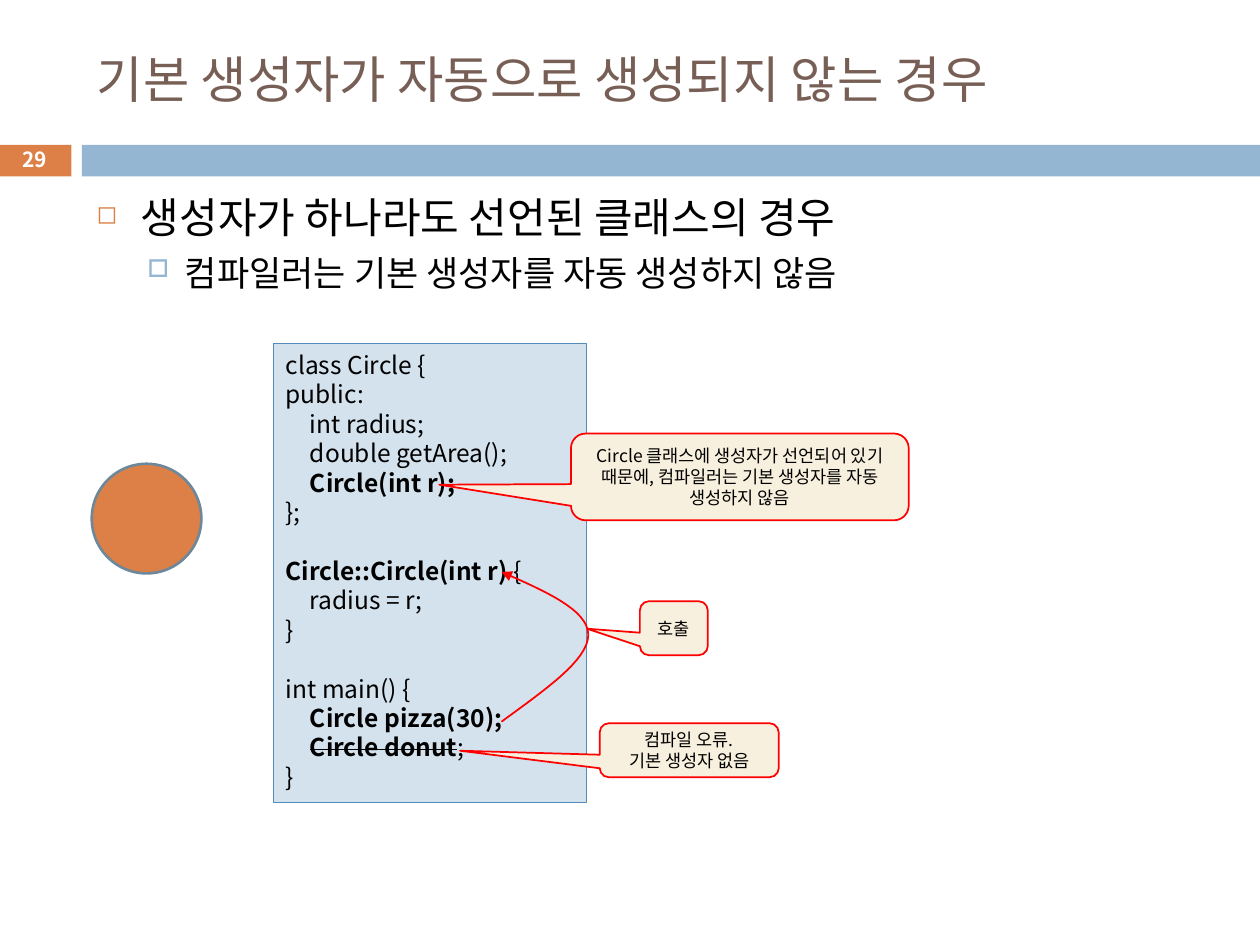
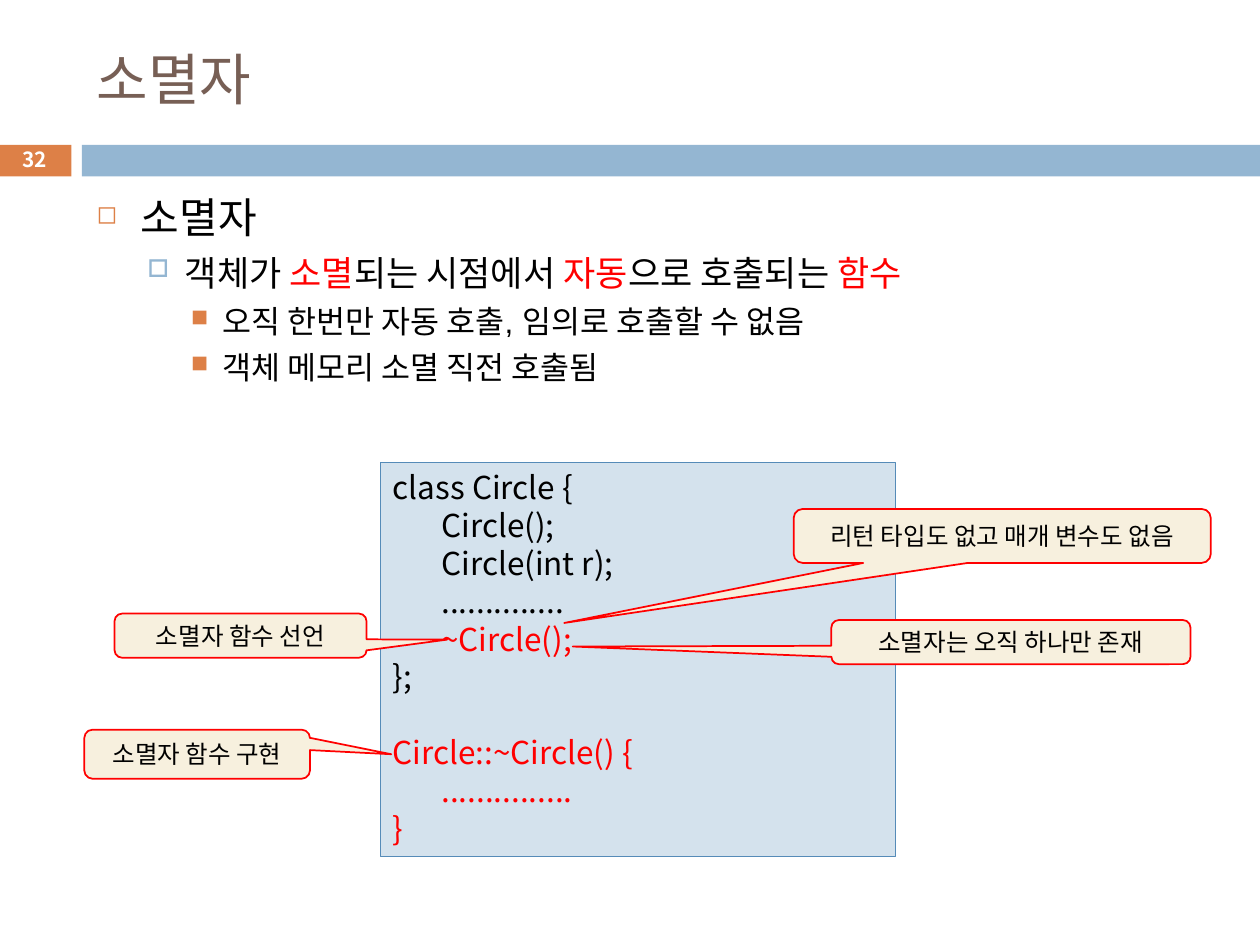
import lxml.etree
import pptx
import pptx.dml.color
import pptx.enum.shapes
import pptx.enum.text
import pptx.oxml.ns
import pptx.util

Cm = pptx.util.Cm
Pt = pptx.util.Pt
SHAPES = pptx.enum.shapes.MSO_SHAPE
ALIGN = pptx.enum.text.PP_ALIGN
ANCHOR = pptx.enum.text.MSO_ANCHOR

ORANGE, BLUE, BROWN = "DD8047", "94B6D2", "775F55"
RED, BLACK, WHITE = "FF0000", "000000", "FFFFFF"
CREAM, CODE_FILL, CODE_EDGE, RING = "F7F0DE", "D4E2ED", "558BB8", "6D879B"
FONT = "Noto Sans CJK KR"
LINE_PITCH = 1.2

LEVELS = [
    dict(size=24, margin=0.89, hang=0.89, before=7, bullet="◻", color=ORANGE, percent=60),
    dict(size=20, margin=1.78, hang=0.76, before=5.5, bullet="□", color=BLUE, percent=70),
    dict(size=18, margin=2.54, hang=0.64, before=5, bullet="■", color=ORANGE, percent=75),
]
HOT = dict(color=RED)
BOLD = dict(bold=True)


def rgb(value):
    return pptx.dml.color.RGBColor.from_string(value)


def add_xml(parent, tag, **attributes):
    return lxml.etree.SubElement(parent, pptx.oxml.ns.qn(tag), attributes)


def apply(target, values):
    for name, value in values.items():
        setattr(target, name, value)


class Lecture:
    def __init__(self):
        self.deck = pptx.Presentation()
        apply(self.deck, dict(slide_width=Cm(25.4), slide_height=Cm(19.05)))
        self.slide = None

    def new_slide(self, heading, number, size):
        self.slide = self.deck.slides.add_slide(self.deck.slide_layouts[5])
        self.shape(SHAPES.RECTANGLE, (-0.03, 2.92, 1.47, 0.64), ORANGE)
        self.shape(SHAPES.RECTANGLE, (1.65, 2.92, 23.75, 0.64), BLUE)
        title = self.slide.shapes.title
        apply(title, dict(left=Cm(1.7), top=Cm(0.64), width=Cm(22.66), height=Cm(1.88)))
        self.frame(title, ANCHOR.MIDDLE)
        self.paragraph(title, [(heading, dict(color=BROWN))], size)
        label = self.textbox((-0.03, 2.87, 1.47, 0.69), ANCHOR.MIDDLE)
        self.paragraph(label, [(number, dict(color=WHITE, bold=True))], 11.9, ALIGN.CENTER)

    def frame(self, shape, anchor):
        apply(shape.text_frame, dict(
            word_wrap=True, vertical_anchor=anchor,
            auto_size=pptx.enum.text.MSO_AUTO_SIZE.NONE))

    def textbox(self, box, anchor):
        area = self.slide.shapes.add_textbox(*map(Cm, box))
        self.frame(area, anchor)
        return area

    def shape(self, kind, box, fill, edge=None, weight=1):
        figure = self.slide.shapes.add_shape(kind, *map(Cm, box))
        figure.shadow.inherit = False
        figure.fill.solid()
        figure.fill.fore_color.rgb = rgb(fill)
        self.outline(figure, edge, weight)
        return figure

    def outline(self, figure, edge, weight):
        if edge:
            figure.line.color.rgb = rgb(edge)
            figure.line.width = Pt(weight)
        else:
            figure.line.fill.background()

    def paragraph(self, shape, runs, size, align=ALIGN.LEFT, before=0, latin=FONT):
        text_frame = shape.text_frame
        first = text_frame.paragraphs[0]
        fresh = not first.runs
        line = first if fresh else text_frame.add_paragraph()
        apply(line, dict(alignment=align, line_spacing=Pt(size * LINE_PITCH),
                         space_before=Pt(0 if fresh else before)))
        for text, changes in runs:
            self.run(line, text, size, latin, **changes)
        return line

    def run(self, line, text, size, latin, color=BLACK, bold=False, strike=False):
        run = line.add_run()
        run.text = text
        apply(run.font, dict(size=Pt(size), name=latin, bold=bold))
        run.font.color.rgb = rgb(color)
        properties = run._r.get_or_add_rPr()
        add_xml(properties, "a:ea", typeface=FONT)
        if strike:
            properties.set("strike", "sngStrike")

    def outline_text(self, height, points, latin=FONT):
        area = self.textbox((1.7, 3.73, 22.66, height), ANCHOR.TOP)
        for depth, runs in points:
            level = LEVELS[depth]
            line = self.paragraph(area, runs, level["size"], before=level["before"], latin=latin)
            line.level = depth
            properties = line._p.get_or_add_pPr()
            properties.set("marL", str(Cm(level["margin"])))
            properties.set("indent", str(-Cm(level["hang"])))
            color = add_xml(properties, "a:buClr")
            add_xml(color, "a:srgbClr", val=level["color"])
            add_xml(properties, "a:buSzPct", val=str(level["percent"] * 1000))
            add_xml(properties, "a:buChar", char=level["bullet"])

    def code(self, box, size, lines):
        listing = self.shape(SHAPES.RECTANGLE, box, CODE_FILL, CODE_EDGE, 0.75)
        self.frame(listing, ANCHOR.TOP)
        gap = 0
        for runs in lines:
            if not runs:
                gap = size * LINE_PITCH
                continue
            line = self.paragraph(listing, runs, size, before=gap)
            tabs = add_xml(line._p.get_or_add_pPr(), "a:tabLst")
            for stop in (1, 2):
                add_xml(tabs, "a:tab", pos=str(Cm(0.49 * stop)), algn="l")
            gap = 0

    def callout(self, box, tip, size, *lines):
        bubble = self.shape(SHAPES.ROUNDED_RECTANGULAR_CALLOUT, box, CREAM, RED)
        for index, value in enumerate((*tip, 0.17)):
            bubble.adjustments[index] = value
        self.frame(bubble, ANCHOR.MIDDLE)
        for text in lines:
            self.paragraph(bubble, [(text, {})], size, ALIGN.CENTER)

    def curved_arrow(self, start, *curves, steps=16):
        points = [start]
        for control_a, control_b, end in curves:
            origin = points[-1]
            for step in range(1, steps + 1):
                t = step / steps
                weights = ((1 - t) ** 3, 3 * t * (1 - t) ** 2, 3 * t * t * (1 - t), t ** 3)
                corners = (origin, control_a, control_b, end)
                points.append(tuple(
                    sum(w * corner[axis] for w, corner in zip(weights, corners))
                    for axis in (0, 1)))
        places = [(Cm(x), Cm(y)) for x, y in points]
        builder = self.slide.shapes.build_freeform(*places[0])
        builder.add_line_segments(places[1:], close=False)
        arrow = builder.convert_to_shape()
        arrow.shadow.inherit = False
        arrow.fill.background()
        self.outline(arrow, RED, 1)
        add_xml(arrow.line._get_or_add_ln(), "a:tailEnd", type="triangle")


def plain(text):
    return [(text, {})] if text else []


def missing_default_constructor(lecture):
    lecture.new_slide("기본 생성자가 자동으로 생성되지 않는 경우", "29", 28.8)
    lecture.outline_text(14.2, [
        (0, plain("생성자가 하나라도 선언된 클래스의 경우")),
        (1, plain("컴파일러는 기본 생성자를 자동 생성하지 않음")),
    ])
    lecture.code((5.51, 6.93, 6.32, 9.25), 14, [
        plain("class Circle {"),
        plain("public:"),
        plain("\tint radius;"),
        plain("\tdouble getArea();"),
        [("\tCircle(int r);", BOLD)],
        plain("};"),
        plain(""),
        [("Circle::Circle(int r) ", BOLD), ("{", {})],
        plain("\tradius = r;"),
        plain("}"),
        plain(""),
        plain("int main() {"),
        [("\tCircle pizza(30);", BOLD)],
        [("\t", {}), ("Circle donut", dict(bold=True, strike=True)), (";", {})],
        plain("}"),
    ])
    lecture.curved_arrow(
        (10.11, 14.55),
        ((10.97, 13.92), (11.86, 13.31), (11.86, 12.8)),
        ((11.86, 12.29), (10.97, 11.91), (10.11, 11.53)))
    lecture.callout((12.09, 14.58, 3.61, 1.09), (-1.28, 0.01), 10,
                    "컴파일 오류.", "기본 생성자 없음")
    lecture.callout((11.51, 8.74, 6.81, 1.75), (-0.89, 0.09), 10,
                    "Circle 클래스에 생성자가 선언되어 있기 때문에, "
                    "컴파일러는 기본 생성자를 자동 생성하지 않음")
    lecture.callout((12.9, 12.12, 1.37, 1.09), (-1.28, 0.01), 10, "호출")
    lecture.shape(SHAPES.OVAL, (1.85, 9.35, 2.21, 2.21), ORANGE, RING, 1.5)


def destructor(lecture):
    lecture.new_slide("소멸자", "32", 32)
    lecture.outline_text(6.2, [
        (0, plain("소멸자")),
        (1, [("객체가 ", {}), ("소멸", HOT), ("되는 시점에서 ", {}),
             ("자동", HOT), ("으로 호출되는 ", {}), ("함수", HOT)]),
        (2, plain("오직 한번만 자동 호출, 임의로 호출할 수 없음")),
        (2, plain("객체 메모리 소멸 직전 호출됨")),
    ], latin="Arial")
    lecture.code((7.67, 9.32, 10.39, 7.95), 18, [
        plain("class Circle {"),
        plain("\t\tCircle();"),
        plain("\t\tCircle(int r);"),
        plain("\t\t.............."),
        [("\t\t~Circle();", HOT)],
        plain("};"),
        plain(""),
        [("Circle::~Circle() {", HOT)],
        [("\t\t...............", HOT)],
        [("}", HOT)],
    ])
    for box, tip, text in [
        ((16, 10.26, 8.41, 1.09), (-1.05, 1.61), "리턴 타입도 없고 매개 변수도 없음"),
        ((2.31, 12.37, 5.08, 0.89), (0.82, 0.09), "소멸자 함수 선언"),
        ((16.76, 12.5, 7.24, 0.89), (-1.22, 0.1), "소멸자는 오직 하나만 존재"),
        ((1.7, 14.71, 4.55, 0.99), (0.86, 0), "소멸자 함수 구현"),
    ]:
        lecture.callout(box, tip, 14, text)


def main():
    lecture = Lecture()
    missing_default_constructor(lecture)
    destructor(lecture)
    lecture.deck.save("out.pptx")


if __name__ == "__main__":
    main()
